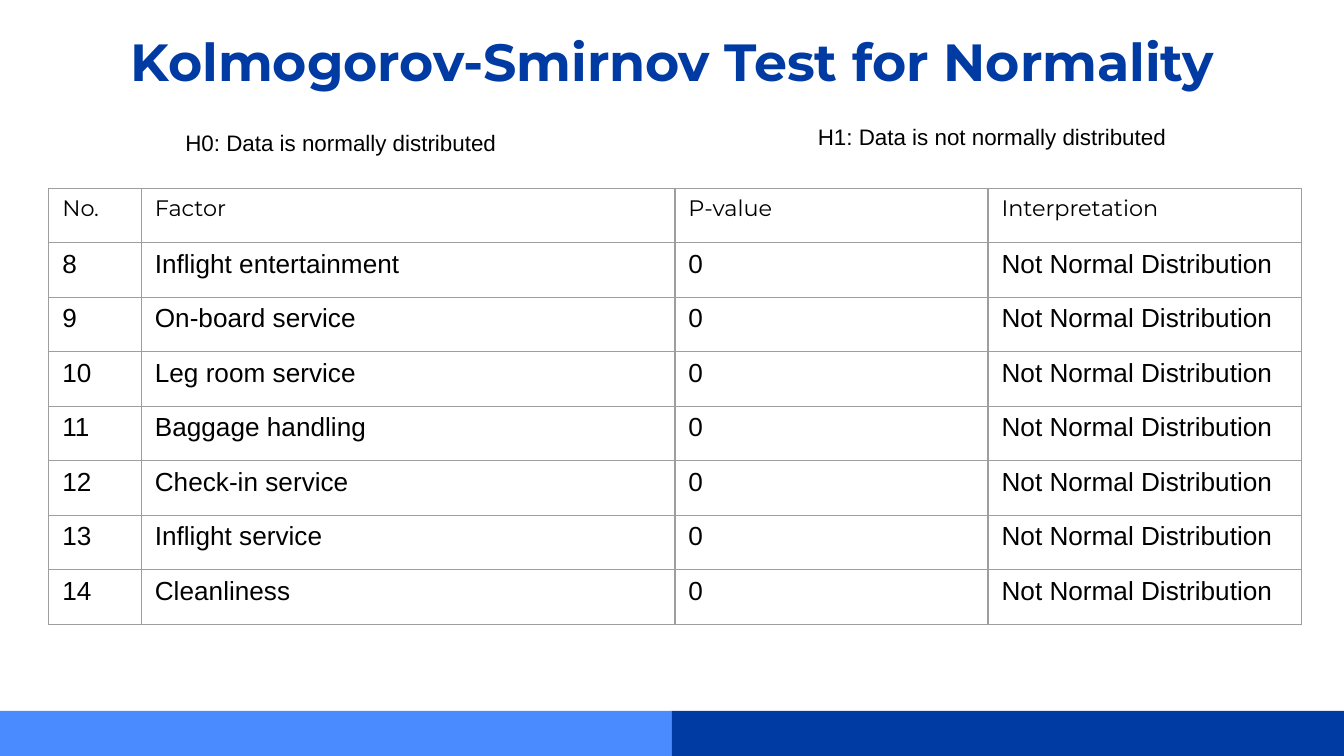
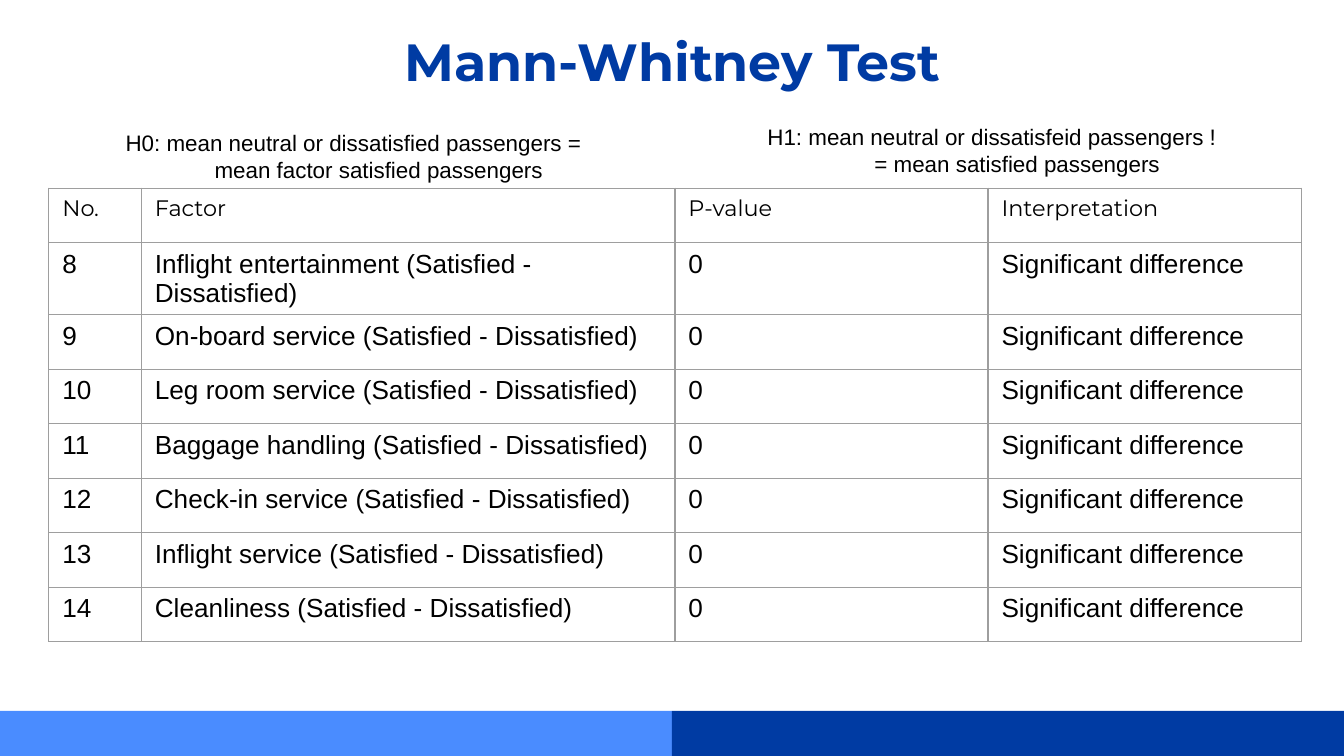
from dataclasses import dataclass

from lxml import etree
from pptx import Presentation
from pptx.dml.color import RGBColor
from pptx.enum.shapes import MSO_SHAPE
from pptx.enum.text import MSO_ANCHOR, MSO_AUTO_SIZE, PP_ALIGN
from pptx.oxml.ns import qn
from pptx.util import Pt

RECTANGLE = MSO_SHAPE.RECTANGLE
TOP = MSO_ANCHOR.TOP
NO_AUTOFIT = MSO_AUTO_SIZE.NONE
LEFT, CENTER = PP_ALIGN.LEFT, PP_ALIGN.CENTER

# Shared look
NAVY, SKY, BLACK, GREY = "003BA3", "4A8CFF", "000000", "9E9E9E"
PAGE_WIDTH, PAGE_HEIGHT = 720, 405
BAND_TOP = 380.8
INSET = 7.2
TABLE_LEFT, TABLE_TOP, ROW_HEIGHT = 26.2, 100.8, 29.2
COLUMN_WIDTHS = (49.6, 285.8, 167.8, 167.8)
BORDER_WIDTH = 0.75
TITLE_FONT = {"name": "Montserrat", "size": Pt(28), "bold": True}
HEADER_FONT = {"name": "Montserrat", "size": Pt(12)}
BODY_FONT = {"name": "Arial", "size": Pt(14)}
NOTE_FONT = {"name": "Arial", "size": Pt(12)}

# Shared content
HEADERS = ("No.", "Factor", "P-value", "Interpretation")
FIRST_NUMBER = 8
FACTORS = (
    "Inflight entertainment", "On-board service", "Leg room service",
    "Baggage handling", "Check-in service", "Inflight service", "Cleanliness",
)


@dataclass(frozen=True)
class Area:
    left: float
    top: float
    width: float
    height: float


@dataclass(frozen=True)
class Hypothesis:
    text: str
    area: Area
    hanging: bool = True


@dataclass(frozen=True)
class TestPage:
    title: str
    hypotheses: tuple[Hypothesis, ...]
    interpretation: str
    factor_suffix: str = ""


TITLE_AREA = Area(56.8, 8.6, 606.8, 45.4)
RIGHT_AREA = Area(393.1, 59, 267.8, 36.7)
BANDS = (
    (SKY, Area(0, BAND_TOP, PAGE_WIDTH / 2, PAGE_HEIGHT - BAND_TOP)),
    (NAVY, Area(PAGE_WIDTH / 2, BAND_TOP, PAGE_WIDTH / 2, PAGE_HEIGHT - BAND_TOP)),
)
TEST_PAGES = (
    TestPage(
        "Kolmogorov-Smirnov Test for Normality",
        (
            Hypothesis("H0: Data is normally distributed",
                       Area(92.2, 61.9, 235.4, 36.7), hanging=False),
            Hypothesis("H1: Data is not normally distributed", RIGHT_AREA),
        ),
        "Not Normal Distribution",
    ),
    TestPage(
        "Mann-Whitney Test",
        (
            Hypothesis("H0: mean neutral or dissatisfied passengers = "
                       "mean factor satisfied passengers",
                       Area(42.5, 61.9, 285.1, 36.7)),
            Hypothesis("H1: mean neutral or dissatisfeid passengers "
                       "!= mean satisfied passengers", RIGHT_AREA),
        ),
        "Significant difference",
        " (Satisfied - Dissatisfied)",
    ),
)


def color(value: str) -> RGBColor:
    return RGBColor.from_string(value)


def points(area: Area) -> tuple:
    return Pt(area.left), Pt(area.top), Pt(area.width), Pt(area.height)


def set_attributes(target, values: dict) -> None:
    for name, value in values.items():
        setattr(target, name, value)


def write(frame, text: str, font: dict, ink: str, align=LEFT):
    """Fill a text frame with one paragraph and return that paragraph."""
    para = frame.paragraphs[0]
    para.alignment = align
    span = para.add_run()
    span.text = text
    set_attributes(span.font, font)
    span.font.color.rgb = color(ink)
    return para


def prepare_frame(frame) -> None:
    margins = {f"margin_{side}": Pt(INSET) for side in ("left", "top", "right", "bottom")}
    set_attributes(frame, margins | {
        "word_wrap": True, "auto_size": NO_AUTOFIT, "vertical_anchor": TOP,
    })


def add_bands(page) -> None:
    for fill, area in BANDS:
        band = page.shapes.add_shape(RECTANGLE, *points(area))
        band.shadow.inherit = False
        band.fill.solid()
        band.fill.fore_color.rgb = color(fill)
        band.line.fill.background()


def set_title(page, text: str) -> None:
    title = page.shapes.title
    places = points(TITLE_AREA)
    set_attributes(title, dict(zip(("left", "top", "width", "height"), places)))
    prepare_frame(title.text_frame)
    write(title.text_frame, text, TITLE_FONT, NAVY, CENTER)


def add_hypothesis(page, hypothesis: Hypothesis) -> None:
    box = page.shapes.add_textbox(*points(hypothesis.area))
    prepare_frame(box.text_frame)
    align = CENTER if hypothesis.hanging else LEFT
    para = write(box.text_frame, hypothesis.text, NOTE_FONT, BLACK, align)
    if hypothesis.hanging:
        properties = para._p.get_or_add_pPr()
        properties.set("marL", str(Pt(36)))
        properties.set("indent", str(Pt(-27)))


def add_borders(cell) -> None:
    properties = cell._tc.get_or_add_tcPr()
    for position, side in enumerate(("lnL", "lnR", "lnT", "lnB")):
        line = etree.Element(qn(f"a:{side}"), w=str(Pt(BORDER_WIDTH)))
        fill = etree.SubElement(line, qn("a:solidFill"))
        etree.SubElement(fill, qn("a:srgbClr"), val=GREY)
        properties.insert(position, line)


def add_results(page, test: TestPage) -> None:
    rows = [HEADERS] + [
        (str(number), factor + test.factor_suffix, "0", test.interpretation)
        for number, factor in enumerate(FACTORS, FIRST_NUMBER)
    ]
    area = Area(TABLE_LEFT, TABLE_TOP, sum(COLUMN_WIDTHS), ROW_HEIGHT * len(rows))
    table = page.shapes.add_table(len(rows), len(HEADERS), *points(area)).table
    set_attributes(table, {"first_row": False, "horz_banding": False})
    for column, width in zip(table.columns, COLUMN_WIDTHS):
        column.width = Pt(width)
    for row_index, values in enumerate(rows):
        table.rows[row_index].height = Pt(ROW_HEIGHT)
        font = BODY_FONT if row_index else HEADER_FONT
        for column_index, value in enumerate(values):
            cell = table.cell(row_index, column_index)
            cell.fill.background()
            add_borders(cell)
            write(cell.text_frame, value, font, BLACK)


def main() -> None:
    deck = Presentation()
    set_attributes(deck, {"slide_width": Pt(PAGE_WIDTH), "slide_height": Pt(PAGE_HEIGHT)})
    title_only = deck.slide_layouts.get_by_name("Title Only")
    for test in TEST_PAGES:
        page = deck.slides.add_slide(title_only)
        add_bands(page)
        set_title(page, test.title)
        add_results(page, test)
        for hypothesis in test.hypotheses:
            add_hypothesis(page, hypothesis)
    deck.save("out.pptx")


if __name__ == "__main__":
    main()
